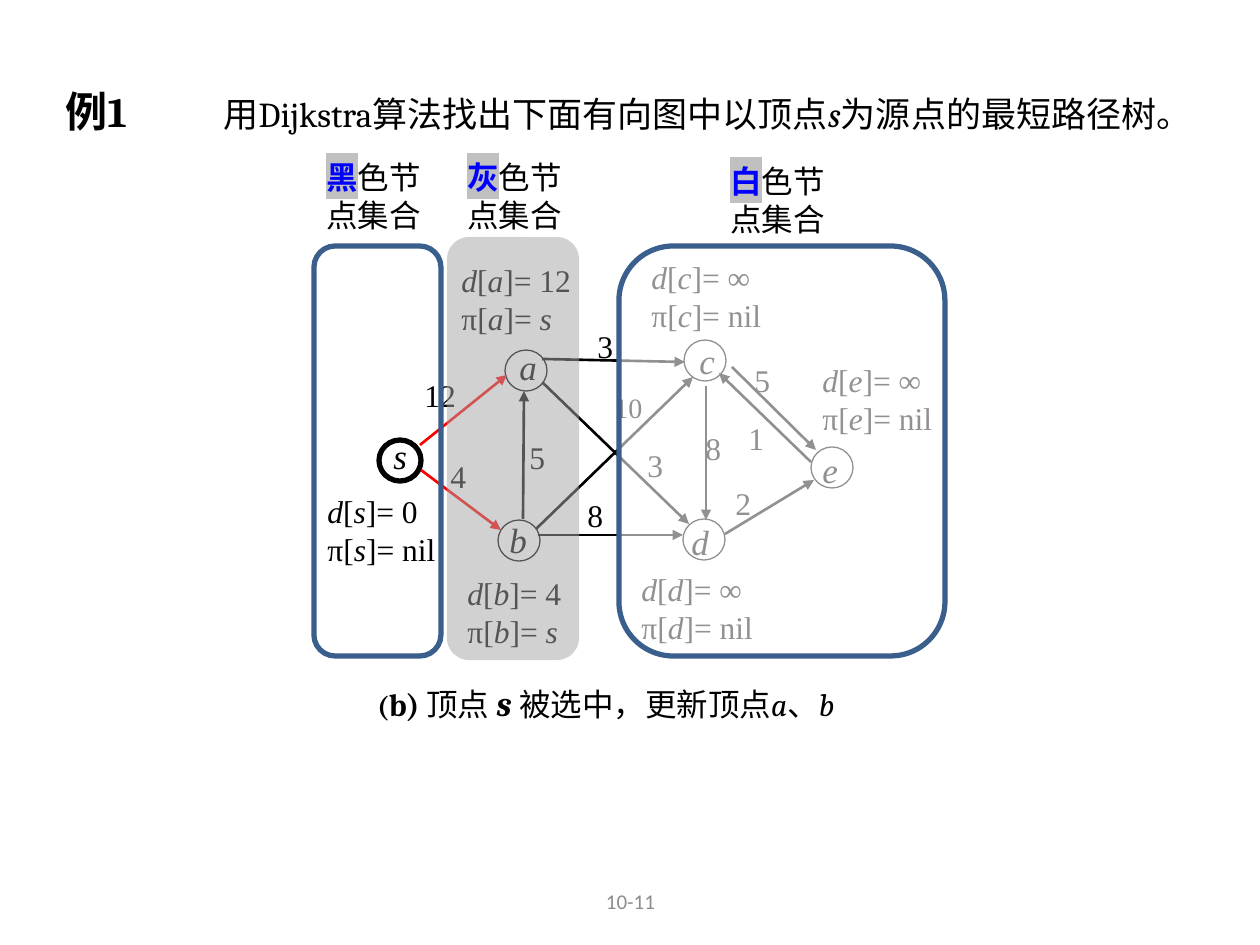
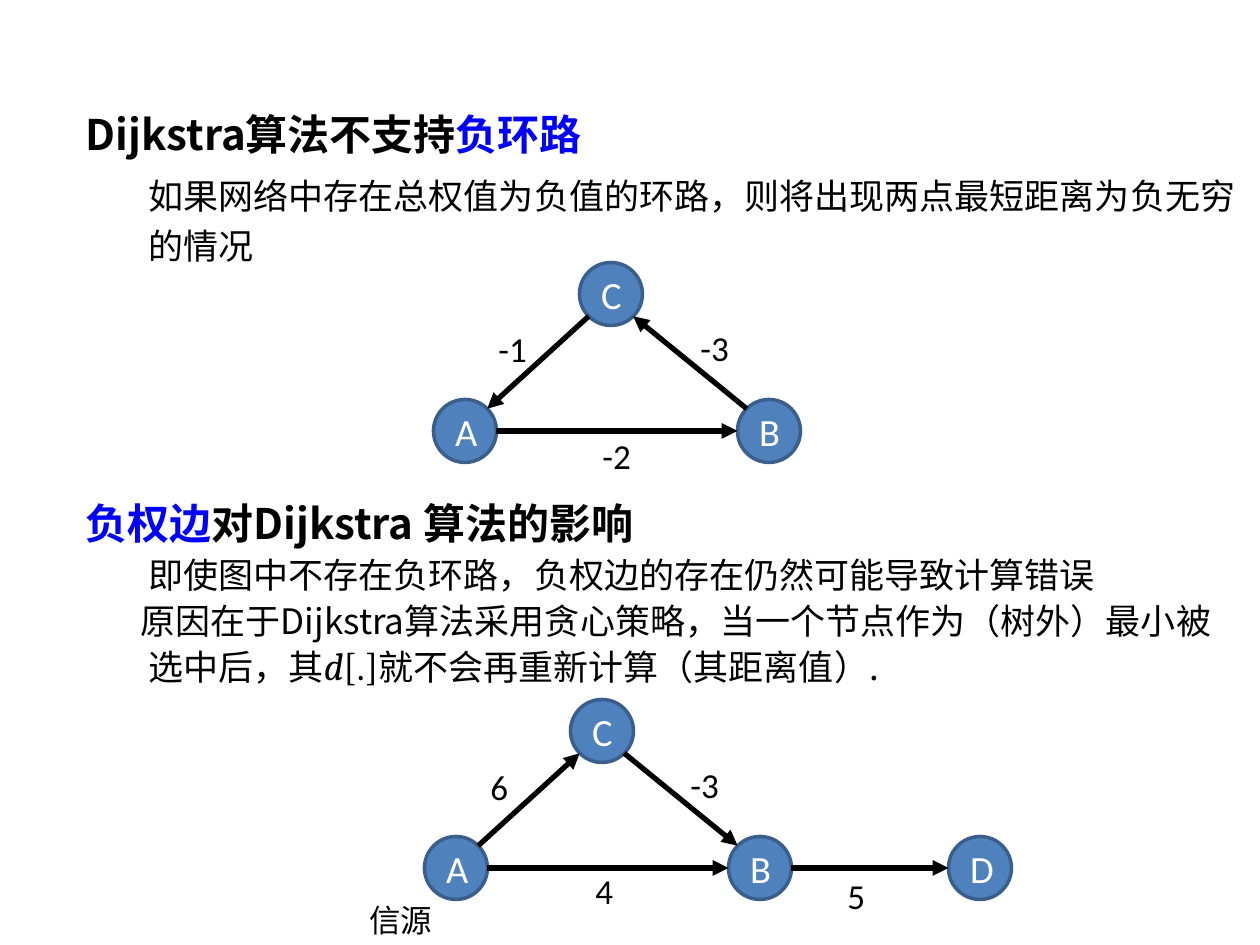
from math import cos, radians, sin

from lxml.etree import SubElement
from pptx import Presentation
from pptx.dml.color import RGBColor
from pptx.enum.shapes import MSO_CONNECTOR as CONN, MSO_SHAPE as SHAPE
from pptx.enum.text import MSO_ANCHOR as ANCHOR, MSO_AUTO_SIZE as FIT, PP_ALIGN as ALIGN
from pptx.oxml.ns import qn
from pptx.util import Emu, Pt

PX_PER_INCH = 126
SANS, SERIF, TIMES, LATIN = "Noto Sans CJK SC", "Cambria", "Times New Roman", "Calibri"
BLACK, WHITE, BLUE, RED = "000000", "FFFFFF", "0000FF", "FF0000"
NODE_BLUE, EDGE_BLUE = "4F81BD", "3A5F8C"
GREY, PAGE_GREY, MARKER = "A6A6A6", "8C8C8C", "C0C0C0"
ITALIC, BOLD, PLAIN = {"italic": True}, {"bold": True}, {"bold": False}


def px(n):
    return Emu(round(n * 914400 / PX_PER_INCH))


def rgb(color):
    return RGBColor.from_string(color)


class Deck:
    """Holds the shared style and the current slide."""

    def __init__(self):
        self.prs = Presentation()
        self.prs.slide_width, self.prs.slide_height = px(1260), px(945)
        self.s = None

    def slide(self):
        self.s = self.prs.slides.add_slide(self.prs.slide_layouts[5])

    def run(self, p, text, size=18, font=TIMES, color=BLACK, bold=False,
            italic=False, mark=None):
        r = p.add_run()
        r.text = text
        f = r.font
        f.size, f.bold, f.italic, f.name = Pt(size), bold, italic, font
        f.color.rgb = rgb(color)
        rpr = r._r.get_or_add_rPr()
        ea = SubElement(rpr, qn("a:ea"), typeface=SANS)
        rpr.find(qn("a:latin")).addnext(ea)
        if mark:
            hl = SubElement(rpr, qn("a:highlight"))
            SubElement(hl, qn("a:srgbClr"), val=mark)
            rpr.find(qn("a:solidFill")).addnext(hl)

    def fill_text(self, tf, paras, align=ALIGN.LEFT, anchor=ANCHOR.TOP, margin=0,
                  indents=(0,), line=None, **style):
        """Each paragraph is a list of plain strings or (string, overrides)."""
        tf.word_wrap, tf.auto_size, tf.vertical_anchor = True, FIT.NONE, anchor
        for i, runs in enumerate(paras):
            p = tf.paragraphs[0] if i == 0 else tf.add_paragraph()
            p.alignment = align
            p.line_spacing = Pt(line or 1.2 * style.get("size", 18))
            ppr = p._p.get_or_add_pPr()
            ppr.set("marL", str(px(margin)))
            ppr.set("indent", str(px(indents[i % len(indents)])))
            for item in runs:
                text, extra = (item, {}) if isinstance(item, str) else item
                self.run(p, text, **{**style, **extra})

    def text(self, x, y, w, h, paras, **style):
        sp = self.s.shapes.add_textbox(px(x), px(y), px(w), px(h))
        self.fill_text(sp.text_frame, paras, **style)

    def title(self, x, y, w, h, runs, **style):
        sp = self.s.shapes.title
        sp.left, sp.top, sp.width, sp.height = px(x), px(y), px(w), px(h)
        self.fill_text(sp.text_frame, [runs], **style)

    def shape(self, kind, x, y, w, h, fill=None, opacity=100, line=None, weight=1):
        sp = self.s.shapes.add_shape(kind, px(x), px(y), px(w), px(h))
        sp.shadow.inherit = False
        if fill:
            sp.fill.solid()
            sp.fill.fore_color.rgb = rgb(fill)
            if opacity < 100:
                clr = sp.fill._xPr.find(qn("a:solidFill"))[0]
                SubElement(clr, qn("a:alpha"), val=str(opacity * 1000))
        else:
            sp.fill.background()
        if line:
            sp.line.color.rgb, sp.line.width = rgb(line), Pt(weight)
        else:
            sp.line.fill.background()
        return sp

    def arrow(self, start, end, color=BLACK, weight=1.5):
        c = self.s.shapes.add_connector(CONN.STRAIGHT, *map(px, (*start, *end)))
        c.line.color.rgb, c.line.width = rgb(color), Pt(weight)
        SubElement(c.line._get_or_add_ln(), qn("a:tailEnd"), type="triangle")
        SubElement(c._element.spPr, qn("a:effectLst"))

    def distance(self, x, y, node, dist, parent):
        """The d[] and π[] lines beside a vertex."""
        last = (parent, ITALIC if parent == "s" else {})
        self.text(x, y, 180, 100, [
            [("d", ITALIC), "[", (node, ITALIC), "]= " + dist],
            ["π[", (node, ITALIC), "]= ", last]])

    def disc(self, name, center):
        """A filled vertex with its name inside."""
        x, y = center
        sp = self.shape(SHAPE.OVAL, x - DISC / 2, y - DISC / 2, DISC, DISC,
                        NODE_BLUE, line=EDGE_BLUE, weight=2)
        self.fill_text(sp.text_frame, [[name]], ALIGN.CENTER, ANCHOR.MIDDLE,
                       size=22, font=LATIN, color=WHITE)

    def graph(self, nodes, edges, weights):
        for name, center in nodes.items():
            self.disc(name, center)
        for start, out_angle, end, in_angle in edges:
            self.arrow(rim(nodes[start], out_angle), rim(nodes[end], in_angle), weight=3)
        for x, y, value in weights:
            self.text(x, y, 66, 55, [[value]], size=20, font=LATIN)


DISC = 63


def rim(center, angle):
    """Point on a disc's edge; angles run clockwise from the right."""
    a = radians(angle)
    return center[0] + DISC / 2 * cos(a), center[1] + DISC / 2 * sin(a)


def shortest_path_slide(d):
    d.slide()
    d.title(53, 79, 1187, 63, [
        ("例1\t", {"size": 24, "bold": True}), "用Dijkstra算法找出下面有向图中以顶点",
        ("s", ITALIC), "为源点的最短路径树。"],
        size=20, font=SERIF, margin=158, indents=(-158,), line=28.8)

    # Distance and parent of each vertex
    for row in [(449, 255, "a", "12", "s"), (639, 252, "c", "∞", "nil"),
                (455, 568, "b", "4", "s"), (629, 564, "d", "∞", "nil"),
                (810, 355, "e", "∞", "nil"), (315, 486, "s", "0", "nil")]:
        d.distance(*row)

    # Edge weights
    for x, y, value in [(412, 370, "12"), (438, 451, "4"), (585, 321, "3"),
                        (575, 490, "8"), (742, 355, "5"), (723, 478, "2"),
                        (736, 413, "1"), (635, 440, "3"), (602, 384, "10"),
                        (693, 423, "8"), (517, 432, "5")]:
        d.text(x, y, 67, 52, [[value]], size=16 if value == "10" else 18)

    # Vertices: name, circle corner, label corner
    for name, circle, label in [("a", (505, 350), (507, 339)), ("b", (498, 520), (497, 512)),
                                ("s", (379, 440), (381, 428)), ("c", (684, 340), (687, 333)),
                                ("d", (683, 519), (679, 514)), ("e", (811, 447), (810, 442))]:
        d.text(*label, 67, 53, [[(name, ITALIC)]], size=20)
        d.shape(SHAPE.OVAL, *circle, 42, 41, line=BLACK, weight=3 if name == "s" else 0.75)

    # Edges; those leaving the source are red
    for start, end in [((542, 359), (685, 362)), ((538, 535), (683, 535)),
                       ((706, 386), (706, 520)), ((732, 367), (816, 450)),
                       ((725, 534), (814, 480)), ((536, 529), (693, 377)),
                       ((543, 383), (689, 524)), ((811, 462), (719, 373)),
                       ((523, 519), (524, 391))]:
        d.arrow(start, end)
    for start, end in [((420, 445), (507, 375)), ((421, 470), (501, 530))]:
        d.arrow(start, end, RED)

    d.text(365, 675, 572, 63, [[
        ("(", {"size": 16, "bold": True}), ("b) ", BOLD), "顶点 ",
        ("s ", {"size": 20, "bold": True, "italic": True}), "被选中，更新顶点",
        ("a", ITALIC), "、", ("b", ITALIC)]], font=SERIF, line=24)

    # Black, grey and white vertex sets
    box = SHAPE.ROUNDED_RECTANGLE
    d.shape(box, 447, 237, 132, 423, GREY, 51)
    d.shape(box, 314, 246, 127, 410, line=EDGE_BLUE, weight=3)
    d.shape(box, 619, 246, 326, 410, WHITE, 57, EDGE_BLUE, 3)
    for x, y, name in [(314, 152, "黑"), (455, 152, "灰"), (718, 156, "白")]:
        d.text(x, y, 125, 89, [
            [(name, {"bold": True, "color": BLUE, "mark": MARKER}), "色节"], ["点集合"]],
            font=SANS)

    # Page number
    d.text(431, 876, 399, 50, [["10-11"]], align=ALIGN.CENTER, anchor=ANCHOR.MIDDLE,
           size=12, font=LATIN, color=PAGE_GREY)


def negative_weight_slide(d):
    d.slide()
    heading = {"size": 24, "font": SANS, "bold": True}
    body = {"size": 20, "font": SANS, "margin": 63}
    blue = {"color": BLUE, "font": TIMES}
    left, width = 73, 1176

    # Negative cycles
    d.title(left, 102, width, 63, ["Dijkstra算法不支持", ("负环路", blue)], **heading)
    d.text(left, 160, width, 115, [["如果网络中存在总权值为负值的环路，则将出现两点最短距离为负无穷的情况"]],
           line=28.8, **body)
    cycle = {"A": (465, 431), "B": (769, 431), "C": (611, 294)}
    d.graph(cycle, [("C", 135, "A", -45), ("A", 0, "B", 180), ("B", -135, "C", 45)],
            [(486, 321, "-1"), (590, 428, "-2"), (688, 320, "-3")])

    # Negative edges
    d.text(left, 491, width, 63, [[("负权边", blue), "对Dijkstra 算法的影响"]], **heading)
    d.text(left, 543, width, 152, [
        ["即使图中不存在负环路，负权边的存在仍然可能导致计算错误"],
        ["原因在于Dijkstra算法采用贪心策略，当一个节点作为（树外）最小被选中后，其",
         ("d", {"size": 22, "font": SERIF, "italic": True}),
         ("[.]", {"size": 22, "font": SERIF}), "就不会再重新计算（其距离值）."]],
        indents=(0, -8), line=26.4, **body)
    nodes = {name: (x - 9, y + 437) for name, (x, y) in cycle.items()}
    nodes["D"] = (980, nodes["B"][1])
    d.graph(nodes, [("A", 0, "B", 180), ("C", 45, "B", -135),
                    ("A", -45, "C", 135), ("B", 0, "D", 180)],
            [(478, 759, "6"), (583, 863, "4"), (678, 757, "-3"), (835, 868, "5")])
    d.text(357, 895, 91, 50, [["信源"]], font=LATIN)


def main():
    d = Deck()
    shortest_path_slide(d)
    negative_weight_slide(d)
    d.prs.save("out.pptx")


if __name__ == "__main__":
    main()
